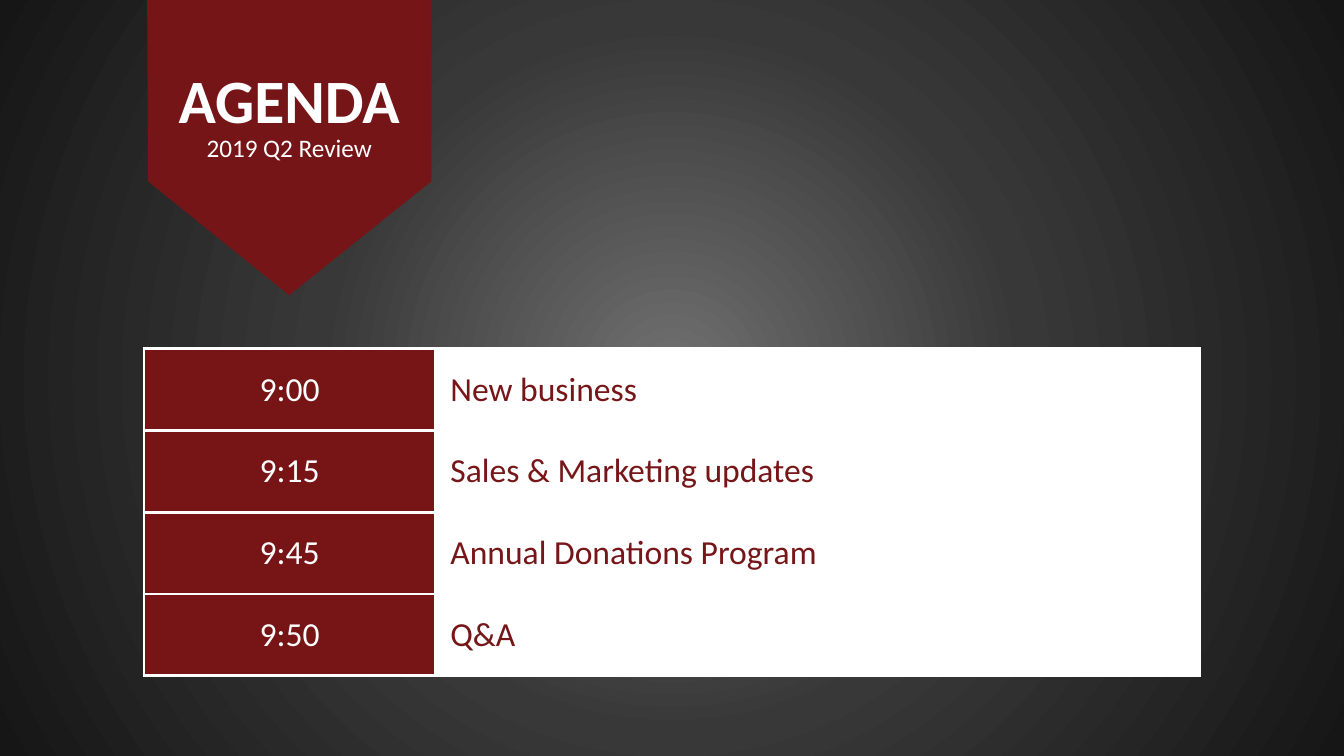
from typing import NamedTuple

from lxml import etree
from pptx import Presentation
from pptx.dml.color import RGBColor
from pptx.enum.text import MSO_ANCHOR, PP_ALIGN
from pptx.oxml import parse_xml
from pptx.oxml.ns import nsdecls, qn
from pptx.slide import Slide
from pptx.table import _Cell
from pptx.text.text import TextFrame
from pptx.util import Cm, Pt

CENTER, LEFT = PP_ALIGN.CENTER, PP_ALIGN.LEFT
MIDDLE = MSO_ANCHOR.MIDDLE
FONT = "Calibri"
COLORS = {
    "white": "FFFFFF",
    "ribbon": "761517",
    "time fill": "761416",
    "topic text": "761618",
}
BACKGROUND_STOPS = ((0, "707070"), (46, "383838"), (100, "161616"))

RIBBON_LEFT, RIBBON_WIDTH = 3.71, 7.16
RIBBON_OUTLINE = ((3.71, 0), (10.87, 0), (10.87, 4.57), (7.29, 7.44), (3.73, 4.57))

TABLE_LEFT, TABLE_TOP = 3.63, 8.79
ROW_HEIGHT = 2.06
TOPIC_MARGIN = 0.38
BORDER_WIDTH = Pt(2.25)


class AgendaItem(NamedTuple):
    time: str
    topic: str


class ColumnStyle(NamedTuple):
    width: float
    fill: str
    text_color: str
    alignment: PP_ALIGN
    margin: float | None


AGENDA = (
    AgendaItem("9:00", "New business"),
    AgendaItem("9:15", "Sales & Marketing updates"),
    AgendaItem("9:45", "Annual Donations Program"),
    AgendaItem("9:50", "Q&A"),
)
COLUMNS = (
    ColumnStyle(7.34, "time fill", "white", CENTER, None),
    ColumnStyle(19.25, "white", "topic text", LEFT, TOPIC_MARGIN),
)


def color(name: str) -> RGBColor:
    return RGBColor.from_string(COLORS[name])


def write_text(frame: TextFrame, text: str, size: float, color_name: str,
               alignment: PP_ALIGN, bold: bool = False) -> None:
    paragraph = frame.paragraphs[0]
    paragraph.text = text
    paragraph.alignment = alignment
    paragraph.font.name = FONT
    paragraph.font.size = Pt(size)
    paragraph.font.bold = bold
    paragraph.font.color.rgb = color(color_name)


def paint_background(slide: Slide) -> None:
    """Fill the slide with a circular gradient around its centre."""
    slide.background.fill.solid()
    solid_fill = slide.element.find(".//" + qn("p:bgPr")).find(qn("a:solidFill"))
    stops = "".join(
        f'<a:gs pos="{position * 1000}"><a:srgbClr val="{value}"/></a:gs>'
        for position, value in BACKGROUND_STOPS
    )
    gradient = parse_xml(
        f'<a:gradFill {nsdecls("a")} rotWithShape="1"><a:gsLst>{stops}</a:gsLst>'
        '<a:path path="circle">'
        '<a:fillToRect l="50000" t="50000" r="50000" b="50000"/>'
        "</a:path></a:gradFill>"
    )
    solid_fill.getparent().replace(solid_fill, gradient)


def add_ribbon(slide: Slide) -> None:
    points = [(Cm(x), Cm(y)) for x, y in RIBBON_OUTLINE]
    builder = slide.shapes.build_freeform(*points[0])
    builder.add_line_segments(points[1:], close=True)
    ribbon = builder.convert_to_shape()
    ribbon.shadow.inherit = False
    ribbon.fill.solid()
    ribbon.fill.fore_color.rgb = color("ribbon")
    ribbon.line.fill.background()
    ribbon.text_frame.word_wrap = True
    ribbon.text_frame.vertical_anchor = MIDDLE
    write_text(ribbon.text_frame, "2019 Q2 Review", 18, "white", CENTER)


def add_title(slide: Slide) -> None:
    title = slide.shapes.add_textbox(
        Cm(RIBBON_LEFT), Cm(1.42), Cm(RIBBON_WIDTH), Cm(2.36)
    )
    frame = title.text_frame
    frame.word_wrap = True
    frame.vertical_anchor = MIDDLE
    write_text(frame, "AGENDA", 44, "white", CENTER, bold=True)
    frame.paragraphs[0].line_spacing = 0.9


def add_borders(cell: _Cell) -> None:
    properties = cell._tc.get_or_add_tcPr()
    for side in ("a:lnL", "a:lnR", "a:lnT", "a:lnB"):
        line = etree.SubElement(properties, qn(side), w=str(BORDER_WIDTH))
        fill = etree.SubElement(line, qn("a:solidFill"))
        etree.SubElement(fill, qn("a:srgbClr"), val=COLORS["white"])


def fill_cell(cell: _Cell, text: str, style: ColumnStyle) -> None:
    add_borders(cell)
    cell.fill.solid()
    cell.fill.fore_color.rgb = color(style.fill)
    cell.vertical_anchor = MIDDLE
    if style.margin is not None:
        cell.margin_left = cell.margin_right = Cm(style.margin)
        cell.margin_top = cell.margin_bottom = Cm(style.margin)
    write_text(cell.text_frame, text, 24, style.text_color, style.alignment)


def add_agenda_table(slide: Slide) -> None:
    width = sum(style.width for style in COLUMNS)
    table = slide.shapes.add_table(
        len(AGENDA), len(COLUMNS), Cm(TABLE_LEFT), Cm(TABLE_TOP),
        Cm(width), Cm(ROW_HEIGHT * len(AGENDA)),
    ).table
    table.first_row = table.horz_banding = False
    for column, style in zip(table.columns, COLUMNS):
        column.width = Cm(style.width)
    for row, item in zip(table.rows, AGENDA):
        row.height = Cm(ROW_HEIGHT)
        for cell, text, style in zip(row.cells, item, COLUMNS):
            fill_cell(cell, text, style)


def main() -> None:
    presentation = Presentation()
    presentation.slide_width, presentation.slide_height = Cm(33.87), Cm(19.05)
    slide = presentation.slides.add_slide(presentation.slide_layouts[6])
    paint_background(slide)
    add_ribbon(slide)
    add_title(slide)
    add_agenda_table(slide)
    presentation.save("out.pptx")


if __name__ == "__main__":
    main()
